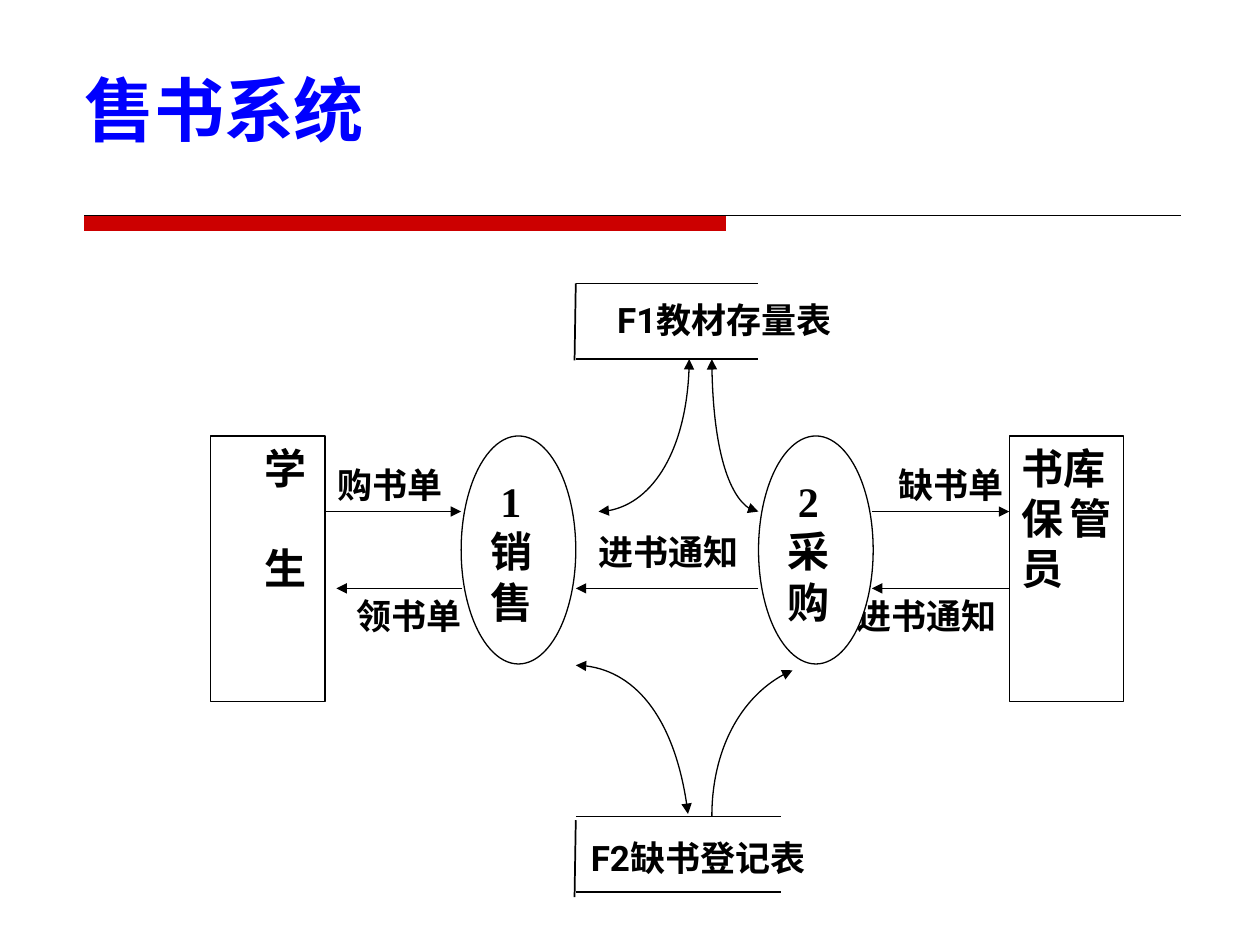
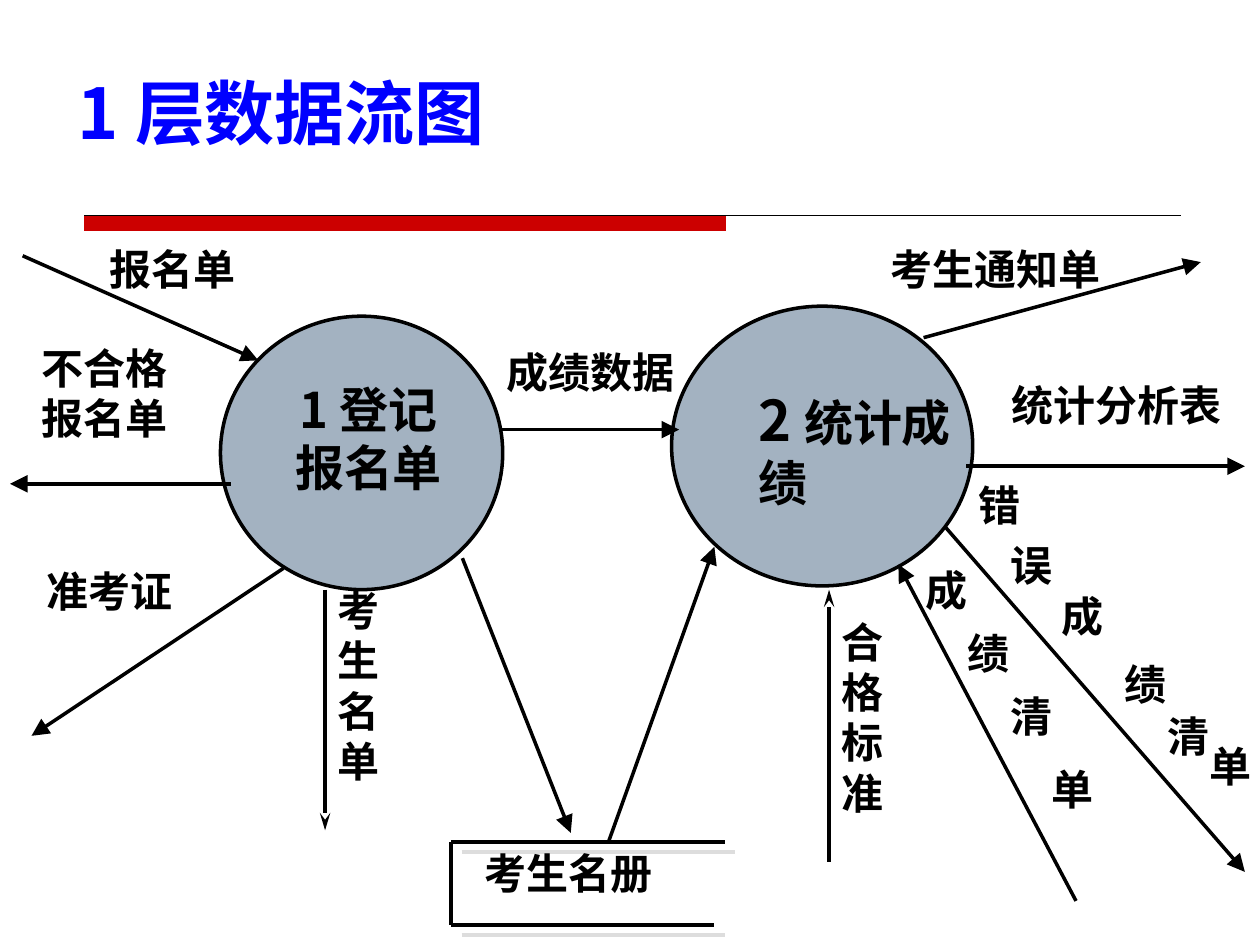
"""Build two data-flow diagram slides: a bookshop system and an exam system."""
from lxml.etree import SubElement
from pptx import Presentation
from pptx.dml.color import RGBColor
from pptx.enum.shapes import MSO_CONNECTOR, MSO_SHAPE
from pptx.enum.text import MSO_ANCHOR, PP_ALIGN
from pptx.oxml.ns import qn
from pptx.util import Inches, Pt

COLORS = {
    "title": "0000FF",
    "band": "CC0000",
    "ink": "000000",
    "paper": "FFFFFF",
    "process": "A3B2C1",
    "shadow": "DDDDDD",
}
CJK_FONT = "Noto Sans CJK SC"
SERIF_FONT = "Times New Roman"
LABEL_FONT = "Roboto"


def write(shape, text, size, font=CJK_FONT, color="ink", align=PP_ALIGN.LEFT, tab=None):
    frame = shape.text_frame
    frame.word_wrap = True
    frame.vertical_anchor = MSO_ANCHOR.TOP
    frame.text = text
    for paragraph in frame.paragraphs:
        paragraph.alignment = align
        paragraph.line_spacing = Pt(size * 1.2)
        if tab:
            stops = SubElement(paragraph._p.get_or_add_pPr(), qn("a:tabLst"))
            SubElement(stops, qn("a:tab"), pos=str(Inches(tab)), algn="l")
        paragraph.font.size = Pt(size)
        paragraph.font.bold = True
        paragraph.font.name = font
        paragraph.font.color.rgb = RGBColor.from_string(COLORS[color])
        SubElement(paragraph.font._element, qn("a:ea"), typeface=CJK_FONT)
    return frame


def style_line(shape, width, head=None, tail=None, size=("med", "med"), shadow=False):
    shape.line.color.rgb = RGBColor.from_string(COLORS["ink"])
    shape.line.width = Pt(width)
    outline = shape.line._get_or_add_ln()
    for tag, arrow in (("a:headEnd", head), ("a:tailEnd", tail)):
        if arrow:
            SubElement(outline, qn(tag), type=arrow, w=size[0], len=size[1])
    properties = shape._element.spPr
    effects = properties.find(qn("a:effectLst"))
    if effects is None:
        effects = SubElement(properties, qn("a:effectLst"))
    if shadow:
        outer = SubElement(effects, qn("a:outerShdw"), dist=str(Pt(8.5)), dir="2700000", algn="ctr")
        SubElement(outer, qn("a:srgbClr"), val=COLORS["shadow"])


presentation = Presentation()
presentation.slide_width = Inches(10)
presentation.slide_height = Inches(7.5)

slides = []
for title, left, top in (("售书系统", 0.57, 0.48), ("1 层数据流图", 0.52, 0.5)):
    slide = presentation.slides.add_slide(presentation.slide_layouts[6])
    slides.append(slide)
    band_left, band_right, band_top, band_bottom = map(Inches, (0.67, 5.76, 1.71, 1.83))
    builder = slide.shapes.build_freeform(band_left, band_top)
    builder.add_line_segments(
        [(band_right, band_top), (band_right, band_bottom), (band_left, band_bottom)])
    builder.move_to(band_left, band_top)
    builder.add_line_segments([(Inches(9.37), band_top)], close=False)
    band = builder.convert_to_shape()
    band.fill.solid()
    band.fill.fore_color.rgb = RGBColor.from_string(COLORS["band"])
    style_line(band, 0.75)
    bar = next(band._element.iter(qn("a:path")))
    bar.set("stroke", "0")
    rule = SubElement(bar.getparent(), qn("a:path"), w=bar.get("w"), h=bar.get("h"), fill="none")
    rule.extend(bar[-2:])
    title_box = slide.shapes.add_textbox(Inches(left), Inches(top), Inches(4.83), Inches(0.77))
    write(title_box, title, 40, color="title")
bookshop, exam = slides

flow_labels = [
    ("领书单\t进书通知", 2.73, 4.67, 5.52, SERIF_FONT, 3.97),
    ("进书通知", 4.65, 4.16, 1.68, SERIF_FONT, None),
    ("购书单\t缺书单", 2.58, 3.63, 5.66, SERIF_FONT, 4.45),
    ("F1教材存量表", 4.8, 2.32, 2.05, LABEL_FONT, None),
    ("F2缺书登记表", 4.59, 6.59, 2.05, LABEL_FONT, None),
]
for text, left, top, width, font, tab in flow_labels:
    label = bookshop.shapes.add_textbox(Inches(left), Inches(top), Inches(width), Inches(0.43))
    write(label, text, 20, font, tab=tab)

curves = [
    ([(4.57, 5.28), (5.03, 5.28), (5.38, 5.77), (5.46, 6.46)], "triangle"),
    ([(6.02, 4.06), (5.82, 4.06), (5.65, 3.52), (5.65, 2.85)], "triangle"),
    ([(4.75, 4.06), (5.15, 4.06), (5.47, 3.52), (5.47, 2.85)], "triangle"),
    ([(6.29, 5.32), (5.91, 5.48), (5.65, 5.95), (5.65, 6.48)], None),
]
for controls, tail in curves:
    start, *others = [(Inches(x), Inches(y)) for x, y in controls]
    builder = bookshop.shapes.build_freeform(*start)
    builder.add_line_segments(others, close=False)
    curve = builder.convert_to_shape()
    outline_path = next(curve._element.iter(qn("a:path")))
    segments = outline_path[1:]
    bezier = SubElement(outline_path, qn("a:cubicBezTo"))
    for segment in segments:
        bezier.append(segment[0])
        outline_path.remove(segment)
    curve.fill.background()
    style_line(curve, 0.75, "triangle", tail)

nodes = [
    (MSO_SHAPE.OVAL, 3.66, 1.81, "1\n销售"),
    (MSO_SHAPE.OVAL, 6.02, 1.81, "2\n采购"),
    (MSO_SHAPE.RECTANGLE, 8.01, 2.11, "书库\n保管员"),
    (MSO_SHAPE.RECTANGLE, 1.67, 2.11, "学\n生"),
]
for kind, left, height, text in nodes:
    node = bookshop.shapes.add_shape(
        kind, Inches(left), Inches(3.46), Inches(0.91), Inches(height))
    node.fill.solid()
    node.fill.fore_color.rgb = RGBColor.from_string(COLORS["paper"])
    style_line(node, 0.75)
    frame = write(node, text, 24, SERIF_FONT, align=PP_ALIGN.JUSTIFY)
    if kind == MSO_SHAPE.OVAL:
        frame.paragraphs[0]._p.get_or_add_pPr().set("marL", str(Inches(0.08)))
    elif text.startswith("学"):
        frame.margin_left = Inches(0.43)
        frame.paragraphs[1].space_before = Pt(28.8)

bookshop_lines = [
    (4.57, 2.25, 6.02, 2.25, 0.75, None),
    (4.57, 2.85, 6.02, 2.85, 0.75, None),
    (4.57, 2.25, 4.56, 2.86, 1, None),
    (4.57, 6.48, 6.2, 6.48, 0.75, None),
    (4.57, 7.08, 6.2, 7.08, 0.75, None),
    (4.57, 6.51, 4.56, 7.12, 1, None),
    (6.92, 4.06, 8.01, 4.06, 0.75, "triangle"),
    (2.57, 4.06, 3.66, 4.06, 0.75, "triangle"),
    (8.01, 4.67, 6.92, 4.67, 0.75, "triangle"),
    (6.02, 4.67, 4.57, 4.67, 0.75, "triangle"),
    (3.67, 4.67, 2.67, 4.67, 0.75, "triangle"),
]
for *ends, width, tail in bookshop_lines:
    line = bookshop.shapes.add_connector(MSO_CONNECTOR.STRAIGHT, *map(Inches, ends))
    style_line(line, width, tail=tail)

for bounds in ((1.75, 2.51, 2.24, 2.17), (5.33, 2.43, 2.39, 2.22)):
    process = exam.shapes.add_shape(MSO_SHAPE.OVAL, *map(Inches, bounds))
    process.fill.solid()
    process.fill.fore_color.rgb = RGBColor.from_string(COLORS["process"])
    style_line(process, 2)

register = exam.shapes.add_textbox(Inches(1.8), Inches(2.96), Inches(2.25), Inches(1.03))
write(register, "1 登记\n报名单", 28, align=PP_ALIGN.CENTER)
statistics = exam.shapes.add_textbox(Inches(5.92), Inches(3.08), Inches(1.75), Inches(1.03))
paragraph = write(statistics, "2 ", 28).paragraphs[0]
paragraph.runs[0].font.size = Pt(32)
paragraph.add_run().text = "统计成绩"

exam_flows = [
    (0.18, 2.03, 2.05, 2.86, "triangle"),
    (2.25, 4.51, 0.25, 5.84, "triangle"),
    (1.83, 3.84, 0.08, 3.84, "triangle"),
    (2.58, 4.68, 2.58, 6.59, "stealth"),
    (3.67, 4.43, 4.53, 6.61, "triangle"),
    (4.83, 6.68, 5.67, 4.34, "triangle"),
    (3.97, 3.41, 5.39, 3.41, "triangle"),
    (7.33, 2.68, 9.53, 2.08, "triangle"),
    (7.67, 3.7, 9.88, 3.7, "triangle"),
    (7.5, 4.18, 9.88, 6.92, "triangle"),
    (8.54, 7.15, 7.13, 4.48, "triangle"),
    (6.58, 6.84, 6.58, 4.68, "stealth"),
]
arrow_sizes = {"triangle": ("lg", "lg"), "stealth": ("med", "lg")}
for *ends, tail in exam_flows:
    flow = exam.shapes.add_connector(MSO_CONNECTOR.STRAIGHT, *map(Inches, ends))
    style_line(flow, 2, tail=tail, size=arrow_sizes[tail])

roster_edges = [
    (3.58, 6.68, 5.75, 6.68, True),
    (3.58, 7.34, 5.67, 7.34, True),
    (3.58, 6.68, 3.58, 7.34, False),
]
for *ends, shadow in roster_edges:
    edge = exam.shapes.add_connector(MSO_CONNECTOR.STRAIGHT, *map(Inches, ends))
    style_line(edge, 2.25, shadow=shadow)

exam_labels = [
    ("报名单", 0.77, 1.88, 2.17),
    ("不合格\n报名单", 0.23, 2.67, 2.08),
    ("准考证", 0.27, 4.44, 1.75),
    ("考生名\n单", 2.58, 4.59, 0.75),
    ("考生名册", 3.75, 6.68, 1.54),
    ("成绩数据", 3.92, 2.7, 2.08),
    ("考生通知单", 6.97, 1.88, 2.41),
    ("统计分析表", 7.93, 2.96, 2.07),
    ("合\n格\n标\n准", 6.58, 4.84, 0.75),
]
slanted_labels = [
    ("错误成绩清单", [(7.67, 3.76), (7.92, 4.23), (8.33, 4.64),
                 (8.83, 5.18), (9.17, 5.59), (9.5, 5.83)]),
    ("成绩清单", [(7.25, 4.43), (7.58, 4.93), (7.92, 5.43), (8.25, 6.01)]),
]
for text, places in slanted_labels:
    exam_labels += [(letter, *place, 0.83) for letter, place in zip(text, places)]
for text, left, top, width in exam_labels:
    lines = 4 if width == 0.75 else len(text.split("\n"))
    label = exam.shapes.add_textbox(
        Inches(left), Inches(top), Inches(width), Inches(0.1 + 0.4 * lines))
    write(label, text, 24)

presentation.save("out.pptx")
